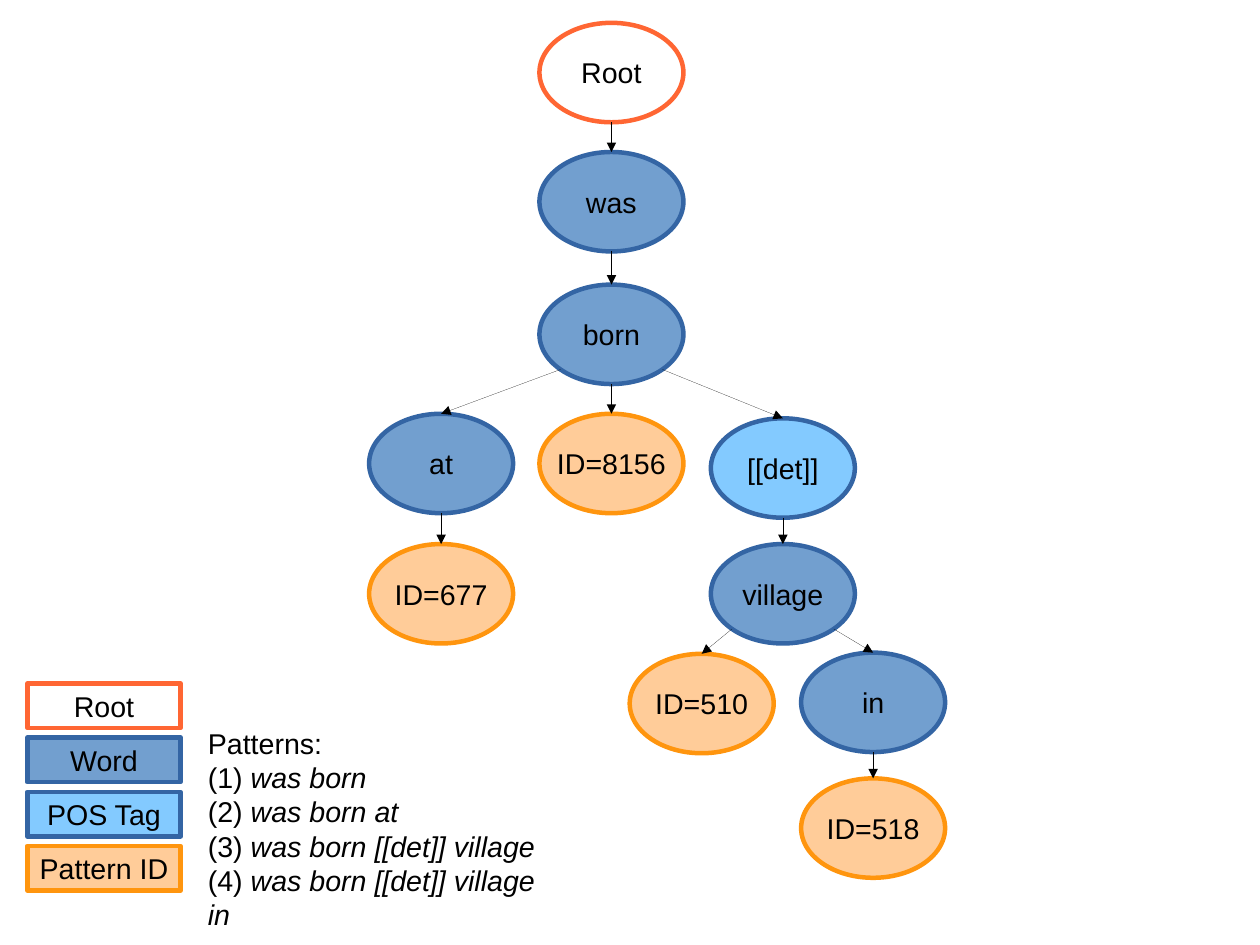
from collections import namedtuple
from math import sqrt

from lxml import etree
from pptx import Presentation
from pptx.dml.color import RGBColor
from pptx.enum.shapes import MSO_CONNECTOR, MSO_SHAPE
from pptx.enum.text import MSO_ANCHOR, MSO_AUTO_SIZE, PP_ALIGN
from pptx.oxml.ns import qn
from pptx.util import Emu, Inches, Pt

OVAL, RECT = MSO_SHAPE.OVAL, MSO_SHAPE.RECTANGLE
STRAIGHT = MSO_CONNECTOR.STRAIGHT
MIDDLE, CENTER = MSO_ANCHOR.MIDDLE, PP_ALIGN.CENTER
GROW = MSO_AUTO_SIZE.SHAPE_TO_FIT_TEXT

# Screen format of 28 by 21 cm
WIDE, HIGH = Emu(10080625), Emu(7559675)

Box = namedtuple("Box", "left top width height")


class Theme:
    font, size = "Arial", Pt(18)
    ink = RGBColor.from_string("000000")
    edge = Pt(2.83)
    # kind: fill, outline
    kinds = {
        "Root": (None, "FF6633"),
        "Word": ("729FCF", "3465A4"),
        "POS Tag": ("83CAFF", "3465A4"),
        "Pattern ID": ("FFCC99", "FF950E"),
    }


# Tree grid, in inches from the corner of the tree
COLS = [0, 1.49, 2.28, 2.99, 3.78]
ROWS = [0, 1.13, 2.29, 3.42, 4.56, 5.51, 6.61]
NODE = (1.26, 0.87)

# label, kind, column, row, drop below the row
NODES = [
    ("Root", "Root", 1, 0, 0),
    ("was", "Word", 1, 1, 0),
    ("born", "Word", 1, 2, 0),
    ("at", "Word", 0, 3, 0),
    ("ID=8156", "Pattern ID", 1, 3, 0),
    ("[[det]]", "POS Tag", 3, 3, 0.04),
    ("ID=677", "Pattern ID", 0, 4, 0),
    ("village", "Word", 3, 4, 0),
    ("ID=510", "Pattern ID", 2, 5, 0.01),
    ("in", "Word", 4, 5, 0),
    ("ID=518", "Pattern ID", 4, 6, 0),
]
LINKS = [
    ("Root", "was"), ("was", "born"),
    ("born", "at"), ("born", "ID=8156"), ("born", "[[det]]"),
    ("at", "ID=677"), ("[[det]]", "village"),
    ("village", "ID=510"), ("village", "in"), ("in", "ID=518"),
]
PATTERNS = ["was born", "was born at", "was born [[det]] village",
            "was born [[det]] village in"]


def style(run, slant=False):
    font = run.font
    font.name, font.size, font.italic = Theme.font, Theme.size, slant
    font.color.rgb = Theme.ink


def add_node(slide, form, box, label, kind):
    node = slide.shapes.add_shape(form, *map(Inches, box))
    node.shadow.inherit = False
    fill, edge = Theme.kinds[kind]
    if fill:
        node.fill.solid()
        node.fill.fore_color.rgb = RGBColor.from_string(fill)
    else:
        node.fill.background()
    node.line.color.rgb = RGBColor.from_string(edge)
    node.line.width = Theme.edge
    frame = node.text_frame
    frame.text = label
    frame.word_wrap = False
    frame.vertical_anchor = MIDDLE
    frame.margin_left = frame.margin_right = Inches(0.12)
    frame.margin_top = frame.margin_bottom = Inches(0.07)
    para = frame.paragraphs[0]
    para.alignment = CENTER
    style(para.runs[0])
    return node


def add_link(slide, start, end):
    link = slide.shapes.add_connector(STRAIGHT, 0, 0, 0, 0)
    link.begin_connect(start, 0)
    link.end_connect(end, 0)
    # An oval has eight sites: 3 lower left, 4 bottom, 5 lower right
    side = (end.left > start.left) - (end.left < start.left)
    link._element.find(".//" + qn("a:stCxn")).set("idx", str(4 + side))
    reach = sqrt(0.5) if side else 1
    link.begin_x = int(start.left + start.width * (1 + side * reach) / 2)
    link.begin_y = int(start.top + start.height * (1 + reach) / 2)
    link.line.color.rgb = Theme.ink
    # Hairline with an arrowhead
    line = link._element.spPr.find(qn("a:ln"))
    line.set("w", "0")
    etree.SubElement(line, qn("a:tailEnd"), type="triangle")
    etree.SubElement(link._element.spPr, qn("a:effectLst"))


def add_tree(slide, box):
    nodes = {}
    for label, kind, col, row, drop in NODES:
        spot = Box(box.left + COLS[col], box.top + ROWS[row] + drop, *NODE)
        nodes[label] = add_node(slide, OVAL, spot, label, kind)
    for start, end in LINKS:
        add_link(slide, nodes[start], nodes[end])


def add_legend(slide, box):
    high = 0.39
    step = (box.height - high) / (len(Theme.kinds) - 1)
    for row, kind in enumerate(Theme.kinds):
        spot = Box(box.left, box.top + row * step, box.width, high)
        add_node(slide, RECT, spot, kind, kind)


def add_list(slide, box):
    frame = slide.shapes.add_textbox(*map(Inches, box)).text_frame
    frame.word_wrap = False
    frame.auto_size = GROW
    frame.text = "Patterns:"
    style(frame.paragraphs[0].runs[0])
    for count, words in enumerate(PATTERNS, 1):
        para = frame.add_paragraph()
        para.text = f"({count}) "
        style(para.runs[0])
        run = para.add_run()
        run.text = words
        style(run, slant=True)


def main():
    deck = Presentation()
    deck.slide_width, deck.slide_height = WIDE, HIGH
    slide = deck.slides.add_slide(deck.slide_layouts[6])
    add_tree(slide, Box(3.23, 0.2, 5.04, 7.48))
    add_legend(slide, Box(0.24, 5.98, 1.34, 1.81))
    add_list(slide, Box(1.72, 6.3, 3.32, 1.5))
    deck.save("out.pptx")


if __name__ == "__main__":
    main()
